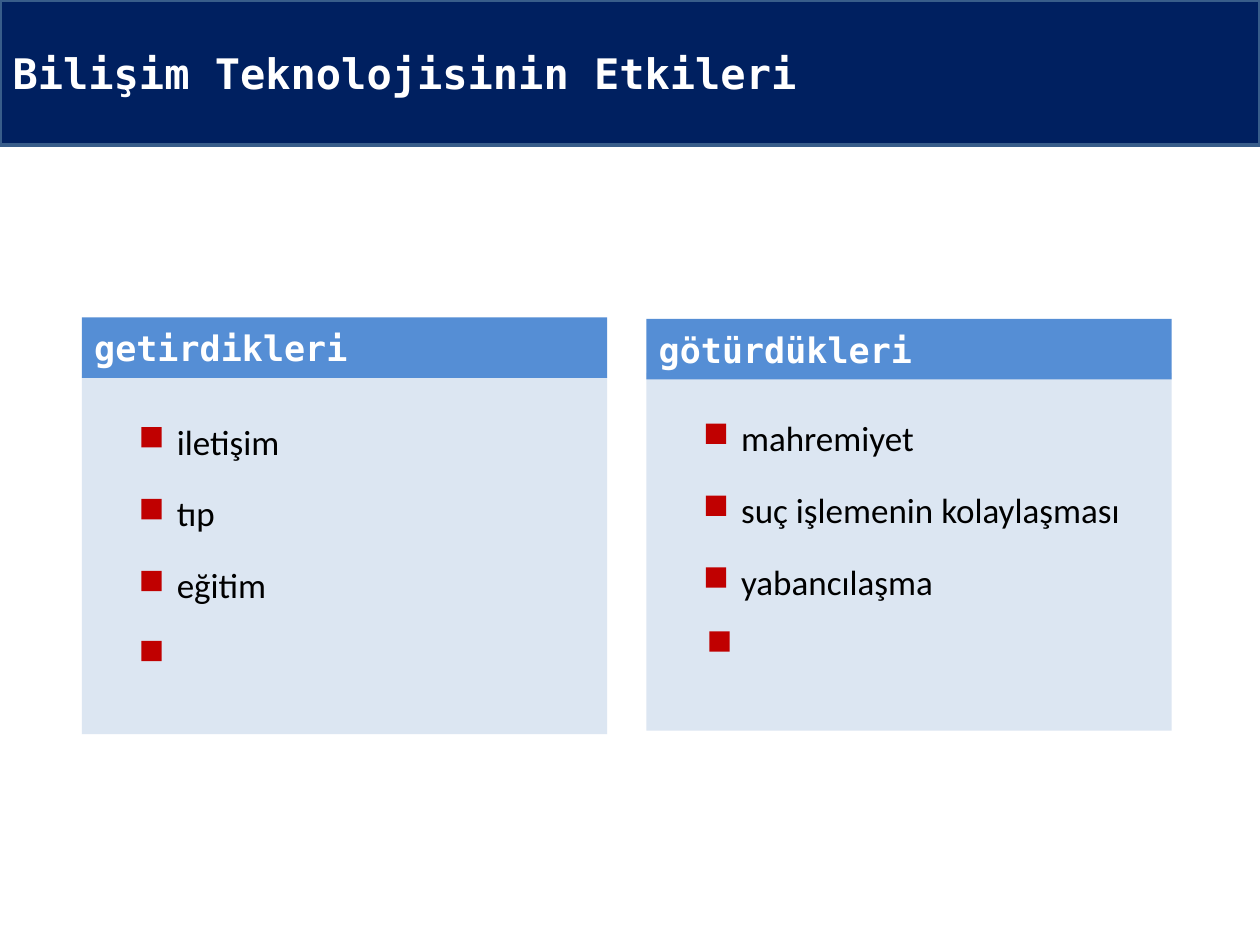
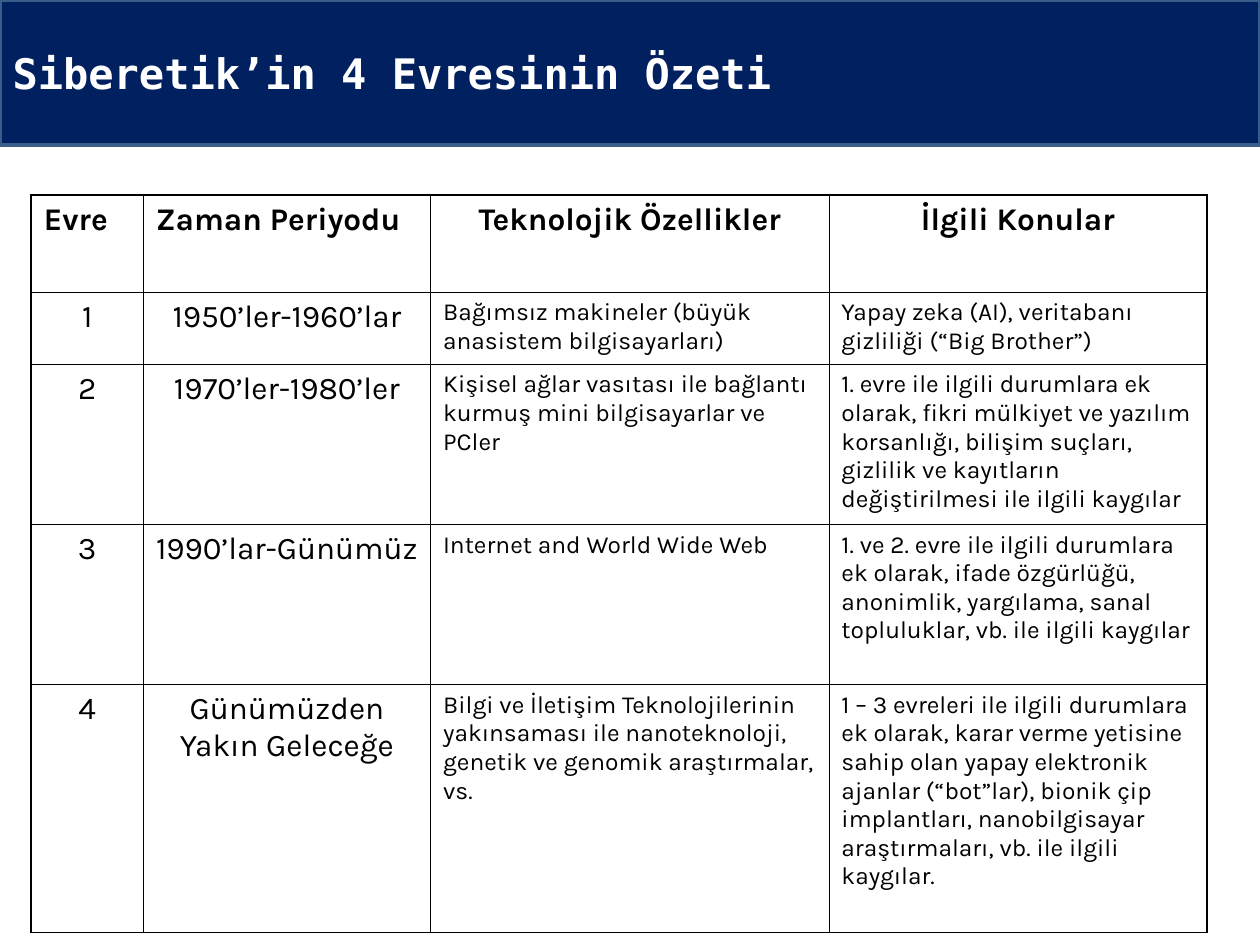
import pptx
import pptx.dml.color
import pptx.enum.shapes
import pptx.enum.text
import pptx.oxml
import pptx.oxml.ns
import pptx.util
from pptx.util import Cm

NAVY = "002060"
BAND_EDGE = "385D8A"
PANEL_BLUE = "DCE6F2"
HEADING_BLUE = "558ED5"
MARKER_RED = "C00000"
WHITE = "FFFFFF"
BLACK = "000000"

HEADING_FONT = "DejaVu Sans Mono"
LIST_FONT = "Calibri"
TABLE_FONT = "Karla"

PAGE_WIDTH = 25.4
BAND_HEIGHT = 2.92
PANEL_WIDTH = 10.59
PANEL_HEIGHT = 7.21
HEADING_HEIGHT = 1.22
MARKER_SIZE = 0.41
MARKER_STEP = 1.45

LEFT = pptx.enum.text.PP_ALIGN.LEFT
CENTER = pptx.enum.text.PP_ALIGN.CENTER

PHASES = [
    ["Evre", "Zaman Periyodu", "Teknolojik Özellikler", "İlgili Konular"],
    ["1", "1950’ler-1960’lar",
     "Bağımsız makineler (büyük anasistem bilgisayarları)",
     "Yapay zeka (AI), veritabanı gizliliği (“Big Brother”)"],
    ["2", "1970’ler-1980’ler",
     "Kişisel ağlar vasıtası ile bağlantı kurmuş mini bilgisayarlar ve PCler",
     "1. evre ile ilgili durumlara ek olarak, fikri mülkiyet ve yazılım "
     "korsanlığı, bilişim suçları, gizlilik ve kayıtların değiştirilmesi "
     "ile ilgili kaygılar"],
    ["3", "1990’lar-Günümüz",
     "Internet and World Wide Web",
     "1. ve 2. evre ile ilgili durumlara ek olarak, ifade özgürlüğü, "
     "anonimlik, yargılama, sanal topluluklar, vb. ile ilgili kaygılar"],
    ["4", "Günümüzden Yakın Geleceğe",
     "Bilgi ve İletişim Teknolojilerinin yakınsaması ile nanoteknoloji, "
     "genetik ve genomik araştırmalar, vs.",
     "1 – 3 evreleri ile ilgili durumlara ek olarak, karar verme yetisine "
     "sahip olan yapay elektronik ajanlar (“bot”lar), bionik çip "
     "implantları, nanobilgisayar araştırmaları, vb. ile ilgili kaygılar."],
]
COLUMN_WIDTHS = [2.26, 5.79, 8.03, 7.62]
ROW_HEIGHTS = [1.96, 1.45, 3.23, 3.23, 5]


def color(hex_code):
    return pptx.dml.color.RGBColor.from_string(hex_code)


def place(shape, left, top, width, height):
    shape.left, shape.top = Cm(left), Cm(top)
    shape.width, shape.height = Cm(width), Cm(height)


def format_paragraph(para, font, size, hex_code, bold=False, align=LEFT):
    para.alignment = align
    para.font.name = font
    para.font.size = pptx.util.Pt(size)
    para.font.color.rgb = color(hex_code)
    para.font.bold = bold


def add_rectangle(page, left, top, width, height, fill):
    box = page.shapes.add_shape(
        pptx.enum.shapes.MSO_SHAPE.RECTANGLE,
        Cm(left), Cm(top), Cm(width), Cm(height))
    box.shadow.inherit = False
    box.fill.solid()
    box.fill.fore_color.rgb = color(fill)
    box.line.fill.background()
    return box


def add_master_band(deck, page):
    band = add_rectangle(page, 0, 0, PAGE_WIDTH, BAND_HEIGHT, NAVY)
    band.line.color.rgb = color(BAND_EDGE)
    band.line.width = pptx.util.Pt(2)
    band.element.xpath(".//p:cNvPr")[0].set("id", "20")
    deck.slide_master.placeholders[0].element.addprevious(band.element)


def set_title(page, text):
    title = page.shapes.title
    place(title, 0, 0, PAGE_WIDTH, BAND_HEIGHT)
    frame = title.text_frame
    frame.text = text
    frame.auto_size = pptx.enum.text.MSO_AUTO_SIZE.NONE
    frame.vertical_anchor = pptx.enum.text.MSO_ANCHOR.MIDDLE
    format_paragraph(frame.paragraphs[0], HEADING_FONT, 24, WHITE, True)


def fill_list(box, items):
    frame = box.text_frame
    frame.text = "\n".join(items)
    frame.word_wrap = True
    frame.auto_size = pptx.enum.text.MSO_AUTO_SIZE.NONE
    for para in frame.paragraphs:
        format_paragraph(para, LIST_FONT, 20, BLACK)
        para.line_spacing = 1.5
        para.space_before = pptx.util.Pt(5)


def add_panel(page, left, top, heading_top, heading, items, list_box, last_marker):
    panel = add_rectangle(page, left, top, PANEL_WIDTH, PANEL_HEIGHT, PANEL_BLUE)
    place(list_box, left + 1.66, top + 0.33, 8.9, 6.07)
    fill_list(list_box, items)
    panel.element.addnext(list_box.element)
    markers = [(1.2, 1.02 + MARKER_STEP * row) for row in range(len(items))]
    for across, down in markers + [last_marker]:
        add_rectangle(page, left + across, top + down,
                      MARKER_SIZE, MARKER_SIZE, MARKER_RED)
    header = add_rectangle(page, left, heading_top,
                           PANEL_WIDTH, HEADING_HEIGHT, HEADING_BLUE)
    header.text_frame.text = heading
    header.text_frame.vertical_anchor = pptx.enum.text.MSO_ANCHOR.MIDDLE
    format_paragraph(header.text_frame.paragraphs[0], HEADING_FONT, 20, WHITE, True)


def set_borders(cell, outer_sides):
    properties = cell._tc.get_or_add_tcPr()
    for position, side in enumerate("LRTB"):
        width = pptx.util.Pt(1.08 if side in outer_sides else 0.45)
        border = pptx.oxml.parse_xml(
            f'<a:ln{side} {pptx.oxml.ns.nsdecls("a")} w="{width}">'
            f'<a:solidFill><a:srgbClr val="{BLACK}"/></a:solidFill></a:ln{side}>')
        properties.insert(position, border)


def fill_cell(cell, text, row, column):
    cell.text = text
    cell.fill.background()
    is_header = row == 0
    is_detail = column >= 2 and not is_header
    left_aligned = is_detail or (is_header and column < 2)
    para = cell.text_frame.paragraphs[0]
    size = 14 if is_detail else 18
    format_paragraph(para, TABLE_FONT, size, BLACK, is_header,
                     LEFT if left_aligned else CENTER)
    para.space_before = pptx.util.Pt(size / 4)
    edges = {"L": column == 0, "R": column == len(COLUMN_WIDTHS) - 1,
             "T": row == 0, "B": row == len(ROW_HEIGHTS) - 1}
    set_borders(cell, [side for side, is_outer in edges.items() if is_outer])


def add_phase_table(page):
    table = page.shapes.add_table(
        len(ROW_HEIGHTS), len(COLUMN_WIDTHS), Cm(0.63), Cm(3.93),
        Cm(sum(COLUMN_WIDTHS)), Cm(sum(ROW_HEIGHTS))).table
    table.first_row = False
    table.horz_banding = False
    for column, width in zip(table.columns, COLUMN_WIDTHS):
        column.width = Cm(width)
    for row, height in zip(table.rows, ROW_HEIGHTS):
        row.height = Cm(height)
    for row, texts in enumerate(PHASES):
        for column, text in enumerate(texts):
            fill_cell(table.cell(row, column), text, row, column)


def build_effects(page):
    set_title(page, "Bilişim Teknolojisinin Etkileri")
    add_panel(page, 1.65, 7.59, 6.4, "getirdikleri",
              ["iletişim", "tıp", "eğitim"],
              page.placeholders[1], (1.2, 5.33))
    losses = page.shapes.add_textbox(0, 0, 0, 0)
    add_panel(page, 13.03, 7.52, 6.43, "götürdükleri",
              ["mahremiyet", "suç işlemenin kolaylaşması", "yabancılaşma"],
              losses, (1.27, 5.21))


def build_phases(page):
    set_title(page, "Siberetik’in 4 Evresinin Özeti")
    add_phase_table(page)


def main():
    deck = pptx.Presentation()
    deck.slide_width, deck.slide_height = Cm(PAGE_WIDTH), Cm(19.05)
    effects = deck.slides.add_slide(deck.slide_layouts[0])
    phases = deck.slides.add_slide(deck.slide_layouts[5])
    add_master_band(deck, effects)
    build_effects(effects)
    build_phases(phases)
    deck.save("out.pptx")


if __name__ == "__main__":
    main()
